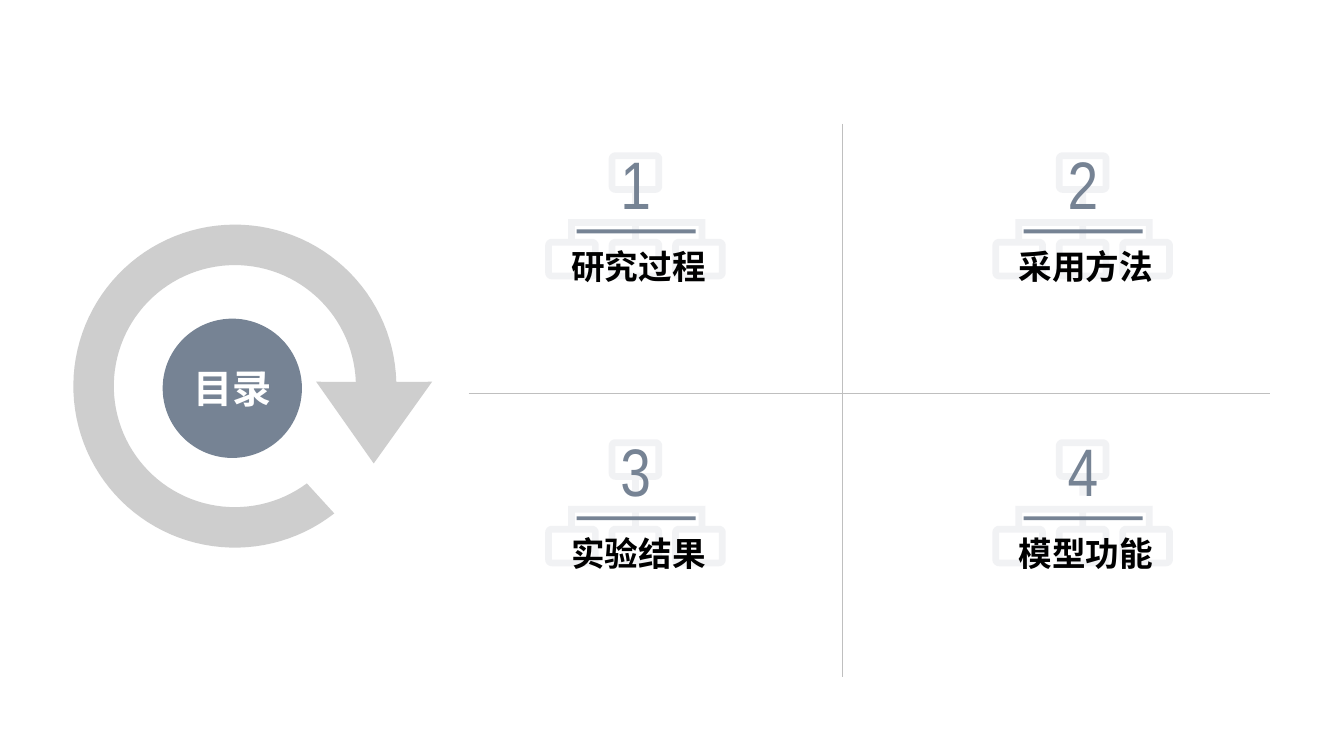
import math

import pptx
import pptx.dml.color
import pptx.enum.shapes
import pptx.enum.text
import pptx.oxml
import pptx.util
from pptx.util import Cm

SLATE, RING_GRAY, ICON_GRAY, RULE_GRAY = "768394", "CECECE", "E4E6EA", "BFBFBF"
CHAPTERS = ["研究过程", "采用方法", "实验结果", "模型功能"]
ANCHOR = pptx.enum.text.MSO_ANCHOR
PRESET = pptx.enum.shapes.MSO_SHAPE
DRAWING_NS = "http://schemas.openxmlformats.org/drawingml/2006/main"


def color(hex_code):
    return pptx.dml.color.RGBColor.from_string(hex_code)


def paint(shape, hex_code):
    """Give a flat fill without outline or shadow."""
    shape.shadow.inherit = False
    shape.fill.solid()
    shape.fill.fore_color.rgb = color(hex_code)
    shape.line.fill.background()


def write(shape, text, size, hex_code, font="Arial", bold=False,
          anchor=ANCHOR.MIDDLE, inset=(0.25, 0.13)):
    frame = shape.text_frame
    frame.word_wrap = False
    frame.vertical_anchor = anchor
    frame.margin_left = frame.margin_right = Cm(inset[0])
    frame.margin_top = frame.margin_bottom = Cm(inset[1])
    frame.text = text
    para = frame.paragraphs[0]
    para.alignment = pptx.enum.text.PP_ALIGN.CENTER
    span = para.runs[0]
    span.font.name = font
    span.font.size = pptx.util.Pt(size)
    span.font.bold = bold
    span.font.color.rgb = color(hex_code)


def draw_outline(page, left, top, contours, hex_code):
    """Build one freeform from contours given in cm from (left, top)."""
    builder = None
    for contour in contours:
        points = [(Cm(x), Cm(y)) for x, y in contour]
        if builder is None:
            builder = page.shapes.build_freeform(*points[0])
        else:
            builder.move_to(*points[0])
        builder.add_line_segments(points[1:], close=True)
    shape = builder.convert_to_shape(Cm(left), Cm(top))
    paint(shape, hex_code)
    return shape


def arc(x, y, radius, start, end, steps):
    angles = [math.radians(start + (end - start) * i / steps) for i in range(steps + 1)]
    return [(x + radius * math.cos(a), y + radius * math.sin(a)) for a in angles]


def rectangle(x, y, width, height):
    return [(x, y), (x + width, y), (x + width, y + height), (x, y + height)]


def frame_contours(x, y, width=1.35, height=1.02, rim=0.17):
    """Rounded outer edge and square hole of one icon box."""
    right, bottom = x + width - rim, y + height - rim
    corners = [(x + rim, y + rim), (right, y + rim), (right, bottom), (x + rim, bottom)]
    outer = [point for i, (cx, cy) in enumerate(corners)
             for point in arc(cx, cy, rim, 180 + 90 * i, 270 + 90 * i, 6)]
    return [outer, corners[::-1]]


def draw_tree_icon(page, left, top):
    pitch, rim, bar_top, row_top = 1.6, 0.17, 1.68, 2.18
    teeth = [0.58, 2.19, 3.87]
    bracket = [(teeth[0], bar_top), (teeth[2] + rim, bar_top)]
    for tooth in reversed(teeth):
        bracket += [(tooth + rim, bar_top + rim), (tooth + rim, row_top),
                    (tooth, row_top), (tooth, bar_top + rim)]
    contours = frame_contours(pitch, 0)
    contours += [rectangle(teeth[1], 1.02, rim, 0.4), bracket]
    for column in range(3):
        contours += frame_contours(column * pitch, row_top)
    icon = draw_outline(page, left, top, contours, ICON_GRAY)
    fill_color = icon.fill._xPr.find(f".//{{{DRAWING_NS}}}srgbClr")
    fill_color.append(pptx.oxml.parse_xml(f'<a:alpha xmlns:a="{DRAWING_NS}" val="50000"/>'))


def draw_contents_ring(page, left, top):
    center, outer, inner = 4.07, 4.07, 3.05
    neck = 3.96
    ring = arc(center, center, outer, 52, 358.5, 100)
    ring += [(9.04, neck), (7.57, 6.02), (6.12, neck)]
    ring += arc(center, center, inner, 358, 53.5, 100)
    draw_outline(page, left, top, [ring], RING_GRAY)
    disc = page.shapes.add_shape(PRESET.OVAL, Cm(left + 2.25), Cm(top + 2.37), Cm(3.51), Cm(3.51))
    paint(disc, SLATE)
    write(disc, "目录", 28, "FFFFFF", bold=True)


def draw_chapter(page, left, top, number, title):
    draw_tree_icon(page, left, top)
    bar = page.shapes.add_shape(PRESET.RECTANGLE, Cm(left + 0.79), Cm(top + 1.94), Cm(3), Cm(0.1))
    paint(bar, SLATE)
    number_box = page.shapes.add_textbox(Cm(left + 1.29), Cm(top - 0.53), Cm(1.98), Cm(2.57))
    write(number_box, str(number), 48, SLATE, font="Arial Narrow", inset=(0.51, 0.25))
    title_box = page.shapes.add_textbox(Cm(left - 2.36), Cm(top + 2.29), Cm(9.42), Cm(1.22))
    write(title_box, title, 24, "000000", bold=True, anchor=ANCHOR.BOTTOM)


def draw_rule(page, x1, y1, x2, y2):
    rule = page.shapes.add_connector(pptx.enum.shapes.MSO_CONNECTOR.STRAIGHT,
                                     Cm(x1), Cm(y1), Cm(x2), Cm(y2))
    rule.line.color.rgb = color(RULE_GRAY)
    rule.line.width = pptx.util.Pt(0.25)
    rule._element.spPr.append(pptx.oxml.parse_xml(f'<a:effectLst xmlns:a="{DRAWING_NS}"/>'))


def draw_chapter_grid(page, left, top):
    for index, title in enumerate(CHAPTERS):
        row, column = divmod(index, 2)
        draw_chapter(page, left + 1.93 + column * 11.27, top + 0.72 + row * 7.23, index + 1, title)
    draw_rule(page, left, top + 6.79, left + 20.19, top + 6.79)
    draw_rule(page, left + 9.42, top, left + 9.42, top + 13.95)


def main():
    deck = pptx.Presentation()
    deck.slide_width, deck.slide_height = Cm(33.87), Cm(19.05)
    page = deck.slides.add_slide(deck.slide_layouts[6])
    draw_contents_ring(page, 1.85, 5.66)
    draw_chapter_grid(page, 11.81, 3.12)
    deck.save("out.pptx")


if __name__ == "__main__":
    main()
